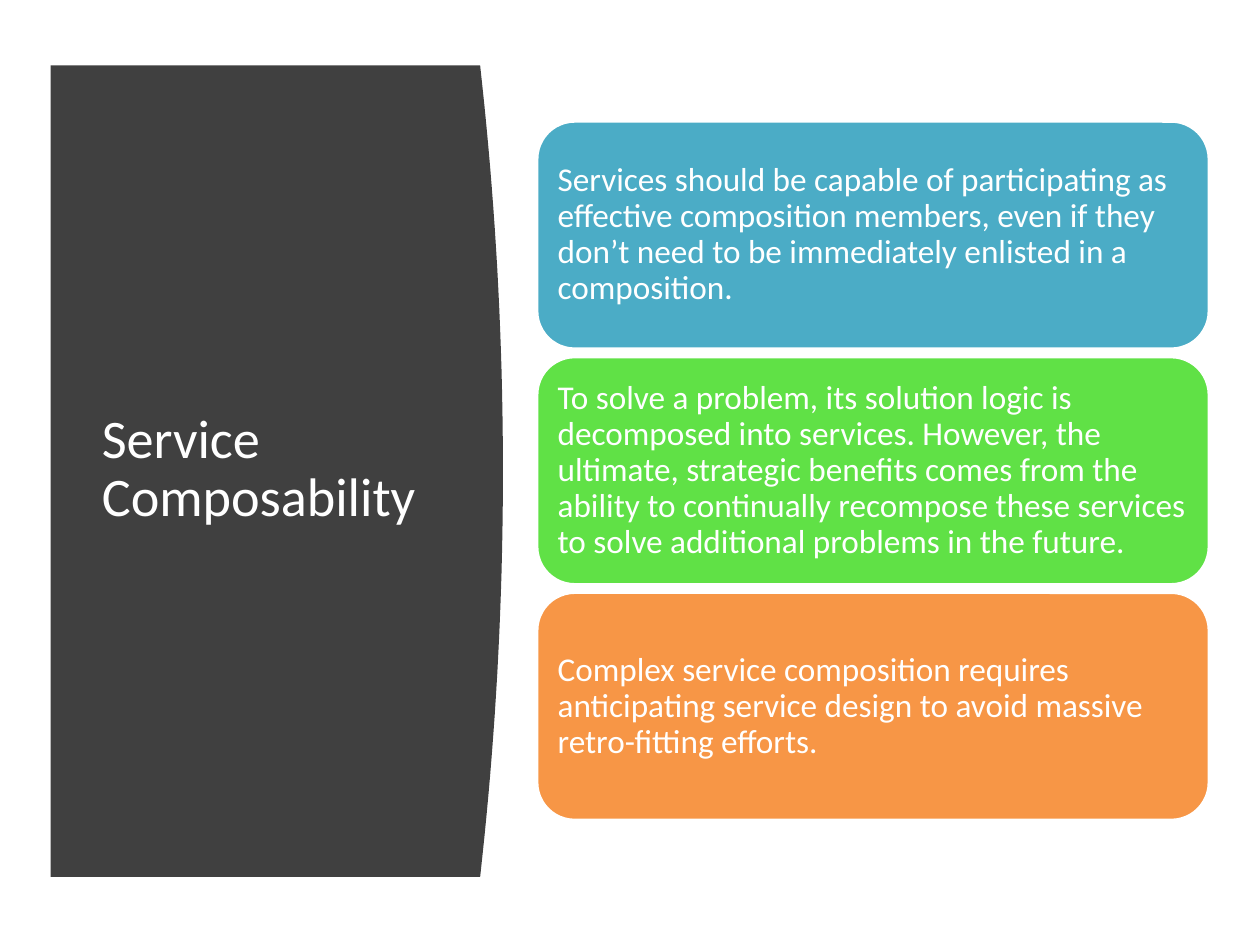
import dataclasses
import pptx
import pptx.dml.color
import pptx.enum.shapes
import pptx.enum.text
import pptx.util

Cm = pptx.util.Cm
Pt = pptx.util.Pt
Rgb = pptx.dml.color.RGBColor.from_string


@dataclasses.dataclass(frozen=True)
class Theme:
    font: str = "Calibri"
    dark: str = "404040"
    white: str = "FFFFFF"
    fills: tuple = ("4BACC6", "60E146", "F79646")
    head: int = 31
    body: int = 19


THEME = Theme()
CARDS = (
    "Services should be capable of participating as effective composition members, "
    "even if they don’t need to be immediately enlisted in a composition.",
    "To solve a problem, its solution logic is decomposed into services. However, the "
    "ultimate, strategic benefits comes from the ability to continually recompose "
    "these services to solve additional problems in the future.",
    "Complex service composition requires anticipating service design to avoid massive "
    "retro-fitting efforts.",
)


def write(frame, text, size):
    frame.word_wrap = True
    frame.auto_size = pptx.enum.text.MSO_AUTO_SIZE.NONE
    frame.vertical_anchor = pptx.enum.text.MSO_ANCHOR.MIDDLE
    frame.text = text
    para = frame.paragraphs[0]
    para.alignment = pptx.enum.text.PP_ALIGN.LEFT
    para.line_spacing = 0.9
    para.font.name = THEME.font
    para.font.size = Pt(size)
    para.font.color.rgb = Rgb(THEME.white)


def paint(shape, color):
    shape.shadow.inherit = False
    shape.fill.solid()
    shape.fill.fore_color.rgb = Rgb(color)


def add_panel(slide):
    left, top, edge, high, bulge, steps = 1.02, 1.32, 9.68, 16.36, 0.46, 40
    curve = []
    for step in range(steps + 1):
        part = step / steps
        side = edge + bulge * 4 * part * (1 - part)
        curve.append((Cm(side), Cm(top + high * part)))
    pen = slide.shapes.build_freeform(Cm(left), Cm(top))
    pen.add_line_segments(curve + [(Cm(left), Cm(top + high))], close=True)
    panel = pen.convert_to_shape()
    paint(panel, THEME.dark)
    panel.line.fill.background()


def set_title(slide, text):
    title = slide.shapes.title
    title.left, title.top = Cm(1.8), Cm(2.82)
    title.width, title.height = Cm(7.11), Cm(13.31)
    write(title.text_frame, text, THEME.head)
    slide.shapes._spTree.append(title._element)


def add_card(slide, top, text, color):
    card = slide.shapes.add_shape(
        pptx.enum.shapes.MSO_SHAPE.ROUNDED_RECTANGLE,
        Cm(10.82), Cm(top), Cm(13.56), Cm(4.6))
    paint(card, color)
    card.line.color.rgb = Rgb(THEME.white)
    card.line.width = Pt(2)
    frame = card.text_frame
    frame.margin_left = frame.margin_right = Cm(0.2)
    frame.margin_top = frame.margin_bottom = Cm(0.2)
    write(frame, text, THEME.body)


def main():
    deck = pptx.Presentation()
    deck.slide_width, deck.slide_height = Cm(25.4), Cm(19.05)
    slide = deck.slides.add_slide(deck.slide_layouts[5])
    add_panel(slide)
    set_title(slide, "Service Composability")
    for row, (text, color) in enumerate(zip(CARDS, THEME.fills)):
        add_card(slide, 2.44 + 4.75 * row, text, color)
    deck.save("out.pptx")


if __name__ == "__main__":
    main()
